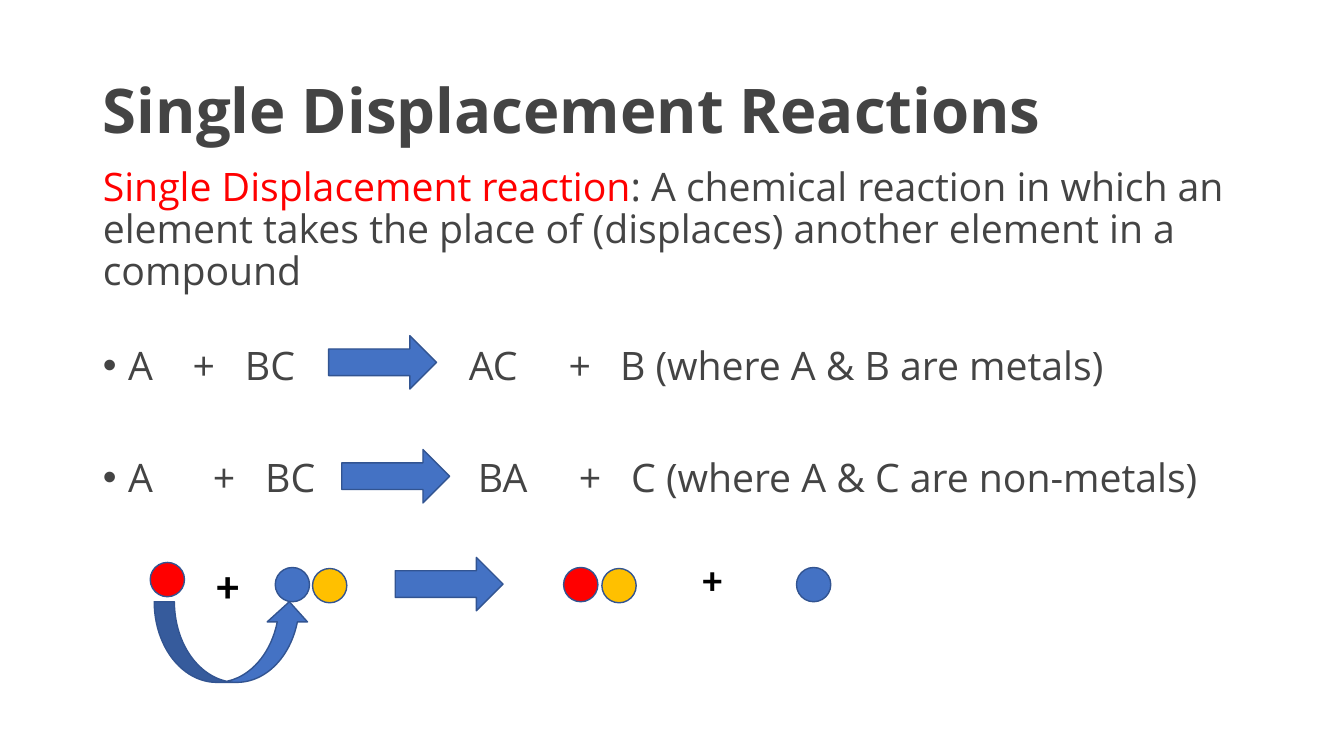
from pptx import Presentation
from pptx.dml.color import RGBColor
from pptx.enum.shapes import MSO_SHAPE
from pptx.enum.text import MSO_ANCHOR, MSO_AUTO_SIZE, PP_ALIGN
from pptx.oxml.ns import qn
from pptx.util import Inches, Pt
from lxml.etree import SubElement

# Content
COLORS = {"text": "444444", "red": "FF0000", "blue": "4472C4",
          "gold": "FFC000", "edge": "325491", "black": "000000"}
TITLE = "Single Displacement Reactions"
TERM = "Single Displacement reaction"
MEANING = (": A chemical reaction in which an element takes the place of "
           "(displaces) another element in a compound")
# Equation parts, tab stops in inches, points of space before
EQUATIONS = [
    (["A", "+", "BC", "AC", "+", "B (where A & B are metals)"],
     [0.25, 0.89, 1.41, 3.63, 4.62, 5.13], 37),
    (["A", "+", "BC", "BA", "+", "C (where A & C are non-metals)"],
     [0.25, 1.09, 1.61, 3.72, 4.72, 5.24], 50),
]
ARROWS = [(3.39, 4.46), (3.26, 3.33), (3.92, 5.53)]
ATOMS = [(1.49, 5.58, "red"), (2.73, 5.63, "blue"), (3.1, 5.64, "gold"),
         (5.59, 5.63, "red"), (5.97, 5.64, "gold"), (7.9, 5.63, "blue")]
PLUSES = [((2.05, 5.48, 0.34, 0.64), 32), ((6.87, 5.46, 0.4, 0.57), 28)]
SWAP = (1.53, 5.97, 1.54, 0.8)
ARROW_SIZE = (1.07, 0.53)
ATOM_SIZE = (0.34, 0.34)


def color(name):
    return RGBColor.from_string(COLORS[name])


def place(shape, box):
    for key, val in zip(("left", "top", "width", "height"), box):
        setattr(shape, key, Inches(val))


def style(font, hue="text", **form):
    for key, val in form.items():
        setattr(font, key, val)
    font.color.rgb = color(hue)


def write(para, text, hue="text", **form):
    run = para.add_run()
    run.text = text
    style(run.font, hue, **form)


def draw(kind, box, hue):
    shape = slide.shapes.add_shape(kind, *map(Inches, box))
    shape.shadow.inherit = False
    shape.fill.solid()
    shape.fill.fore_color.rgb = color(hue)
    shape.line.color.rgb = color("edge")
    shape.line.width = Pt(1)


def set_list(para, stops=()):
    props = para._p.get_or_add_pPr()
    props.set("marL", "0")
    props.set("indent", "0")
    if not stops:
        SubElement(props, qn("a:buNone"))
        return
    SubElement(props, qn("a:buFont"), typeface="Arial")
    SubElement(props, qn("a:buChar"), char="•")
    tabs = SubElement(props, qn("a:tabLst"))
    for stop in stops:
        SubElement(tabs, qn("a:tab"), pos=str(Inches(stop)), algn="l")


deck = Presentation()
deck.slide_width, deck.slide_height = Inches(13.33), Inches(7.5)
slide = deck.slides.add_slide(deck.slide_layouts[1])

# Title
title = slide.shapes.title
place(title, (0.92, 0.4, 11.5, 1.45))
frame = title.text_frame
frame.auto_size = MSO_AUTO_SIZE.NONE
frame.vertical_anchor = MSO_ANCHOR.MIDDLE
para = frame.paragraphs[0]
para.alignment = PP_ALIGN.LEFT
para.line_spacing = 0.9
write(para, TITLE, name="Open Sans", size=Pt(44), bold=True)

# Definition and equations
body = slide.placeholders[1]
place(body, (0.92, 1.37, 11.5, 4.76))
frame = body.text_frame
frame.auto_size = MSO_AUTO_SIZE.NONE
frame.vertical_anchor = MSO_ANCHOR.TOP
frame.margin_top = Inches(0.29)
plain = {"name": "Open Sans", "size": Pt(28), "bold": False}
para = frame.paragraphs[0]
set_list(para)
para.line_spacing, para.space_before = 0.9, Pt(0)
write(para, TERM, "red", **plain)
write(para, MEANING, **plain)
for parts, stops, gap in EQUATIONS:
    para = frame.add_paragraph()
    set_list(para, stops)
    para.line_spacing, para.space_before = 0.9, Pt(gap)
    write(para, "".join("\t" + part for part in parts), **plain)

# Reaction arrows and atoms
for spot in ARROWS:
    draw(MSO_SHAPE.RIGHT_ARROW, spot + ARROW_SIZE, "blue")
for left, top, hue in ATOMS:
    draw(MSO_SHAPE.FLOWCHART_CONNECTOR, (left, top) + ATOM_SIZE, hue)

# Plus signs
for box, size in PLUSES:
    frame = slide.shapes.add_textbox(*map(Inches, box)).text_frame
    frame.word_wrap = True
    frame.auto_size = MSO_AUTO_SIZE.SHAPE_TO_FIT_TEXT
    write(frame.paragraphs[0], "+", "black",
          name="Calibri", size=Pt(size), bold=True)

# Curved arrow for the displaced atom
draw(MSO_SHAPE.CURVED_UP_ARROW, SWAP, "blue")

deck.save("out.pptx")
